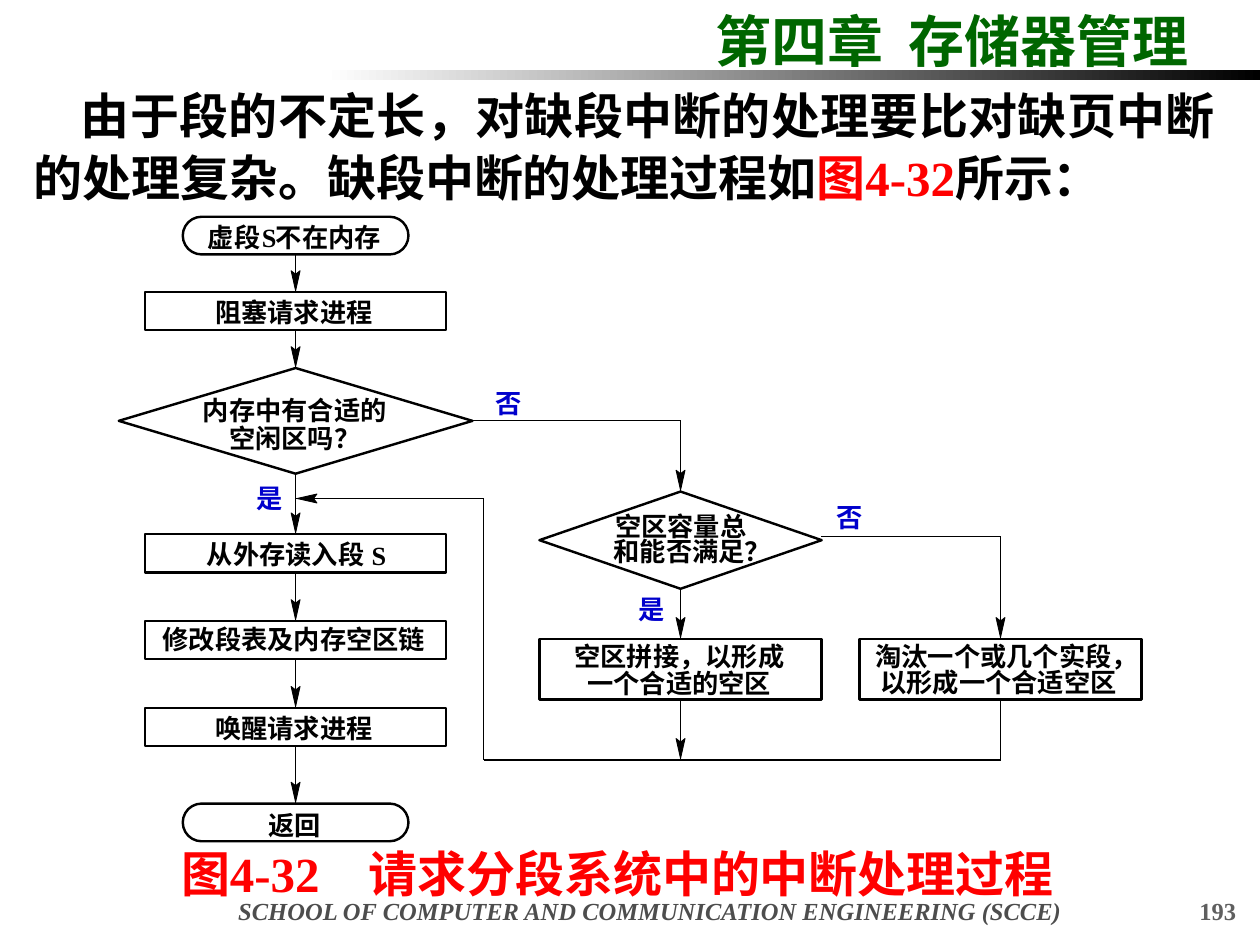
from math import hypot

from lxml import etree
from pptx import Presentation
from pptx.dml import color
from pptx.enum import shapes, text
from pptx.oxml import ns
from pptx.util import Cm, Pt

HAN, ROMAN = "Noto Sans CJK SC", "Times New Roman"
BLACK, WHITE, RED, BLUE = "000000", "FFFFFF", "FF0000", "0000CC"
KIND = shapes.MSO_SHAPE
ALIGN = text.PP_ALIGN


def paint(target, code):
    target.rgb = color.RGBColor.from_string(code)


class Board:
    """Style of the flow chart and the slide it is drawn on."""
    size, edge, thin, tip = 15, 1.39, 0.75, 0.5

    def __init__(self, slide):
        self.slide = slide
        self.items = slide.shapes

    def font(self, font, size, code, face=ROMAN, slant=False):
        font.size, font.bold, font.name = Pt(size), True, face
        if slant:
            font.italic = True
        paint(font.color, code)
        east = etree.SubElement(font._element, ns.qn("a:ea"))
        east.set("typeface", HAN)

    def box(self, x, y, w, h, pad=True, wrap=True):
        frame = self.items.add_textbox(Cm(x), Cm(y), Cm(w), Cm(h)).text_frame
        frame.word_wrap = wrap
        if not pad:
            frame.margin_left = frame.margin_right = 0
            frame.margin_top = frame.margin_bottom = 0
        return frame.paragraphs[0]

    def text(self, x, y, w, h, words, size, code, align=ALIGN.LEFT,
             slant=False, wrap=True, tab=None):
        para = self.box(x, y, w, h, wrap=wrap)
        para.add_run().text = words
        para.alignment = align
        if tab:
            tabs = etree.SubElement(para._p.get_or_add_pPr(), ns.qn("a:tabLst"))
            etree.SubElement(tabs, ns.qn("a:tab"), pos=str(Cm(tab)), algn="l")
        self.font(para.font, size, code, slant=slant)

    def label(self, x, y, words, code=BLACK):
        latin = words.isascii()
        wide = 0.3 if latin else 0.53 * len(words)
        para = self.box(x, y, wide, 0.64, pad=False, wrap=False)
        para.add_run().text = words
        self.font(para.font, self.size, code, ROMAN if latin else HAN)

    def node(self, kind, mid, y, w, h):
        node = self.items.add_shape(kind, Cm(mid - w / 2), Cm(y), Cm(w), Cm(h))
        node.shadow.inherit = False
        node.fill.solid()
        paint(node.fill.fore_color, WHITE)
        node.line.width = Pt(self.edge)
        paint(node.line.color, BLACK)
        if kind == KIND.ROUNDED_RECTANGLE:
            node.adjustments[0] = 0.5

    def fade(self, x, y, w, h):
        bar = self.items.add_shape(KIND.RECTANGLE, Cm(x), Cm(y), Cm(w), Cm(h))
        bar.shadow.inherit = False
        bar.line.fill.background()
        bar.fill.gradient()
        bar.fill.gradient_angle = 0
        for stop, place, code in zip(bar.fill.gradient_stops, (0, 1), (WHITE, BLACK)):
            stop.position = place
            paint(stop.color, code)

    def line(self, *ends):
        link = self.items.add_connector(shapes.MSO_CONNECTOR.STRAIGHT, *map(Cm, ends))
        link.line.width = Pt(self.thin)
        paint(link.line.color, BLACK)
        etree.SubElement(link._element.spPr, ns.qn("a:effectLst"))

    def arrow(self, x1, y1, x2, y2):
        self.line(x1, y1, x2, y2)
        span = hypot(x2 - x1, y2 - y1)
        dx, dy = (x2 - x1) / span, (y2 - y1) / span

        def spot(back, side):
            return (Cm(x2 - back * dx - side * dy), Cm(y2 - back * dy + side * dx))

        build = self.items.build_freeform(*spot(0.43, 0.09))
        build.add_line_segments([spot(0.36, 0), spot(0.43, -0.09), spot(0.03, 0)])
        dart = build.convert_to_shape()
        dart.shadow.inherit = False
        dart.fill.solid()
        paint(dart.fill.fore_color, BLACK)
        dart.line.width = Pt(self.tip)
        paint(dart.line.color, BLACK)

    def body(self, x, y, w, h, parts, size, indent):
        para = self.box(x, y, w, h)
        para.alignment = ALIGN.JUSTIFY
        para.line_spacing = 1.05
        para._p.get_or_add_pPr().set("indent", str(Cm(indent)))
        for words, face, code in parts:
            run = para.add_run()
            run.text = words
            self.font(run.font, size, code, face)


def main():
    deck = Presentation()
    deck.slide_width, deck.slide_height = Cm(25.4), Cm(19.05)
    board = Board(deck.slides.add_slide(deck.slide_layouts[6]))

    # Header, footer and caption
    board.text(14.17, 0, 11.23, 1.63, "第四章\t存储器管理", 32, "006600", tab=3.9)
    board.fade(6.55, 1.42, 18.85, 0.2)
    board.text(3.91, 17.93, 18.39, 0.71,
               "SCHOOL OF COMPUTER AND COMMUNICATION ENGINEERING (SCCE)",
               14, "4D4D4D", ALIGN.CENTER, slant=True)
    board.text(19.89, 17.93, 5.28, 0.71, "193", 14, "5F5F5F", ALIGN.RIGHT)
    board.text(3.4, 16.87, 19.05, 1.45, "图4-32　请求分段系统中的中断处理过程",
               28, RED, wrap=False)

    # Nodes, by column centre
    left, mid, right, back = 5.96, 13.72, 20.17, 9.75
    for y in (4.37, 16.2):
        board.node(KIND.ROUNDED_RECTANGLE, left, y, 4.55, 0.76)
    for y in (5.89, 10.77, 12.52, 14.27):
        board.node(KIND.RECTANGLE, left, y, 6.07, 0.77)
    for x in (mid, right):
        board.node(KIND.RECTANGLE, x, 12.88, 5.69, 1.22)
    board.node(KIND.DIAMOND, left, 7.42, 7.13, 2.13)
    board.node(KIND.DIAMOND, mid, 9.91, 5.69, 1.96)

    # Downward arrows
    drops = {
        left: [(5.13, 5.89), (6.65, 7.42), (9.55, 10.77),
               (11.56, 12.52), (13.28, 14.27), (15.04, 16.2)],
        mid: [(8.48, 9.91), (11.89, 12.88), (14.1, 15.32)],
        right: [(10.82, 12.88)],
    }
    for x, spans in drops.items():
        for top, end in spans:
            board.arrow(x, top, x, end)

    # Branches and the way back
    board.line(9.53, 8.48, mid, 8.48)
    board.line(16.56, 10.82, right, 10.82)
    board.line(right, 14.1, right, 15.32)
    board.line(back, 15.32, right, 15.32)
    board.line(back, 10.05, back, 15.32)
    board.arrow(back, 10.05, left, 10.05)

    # Node wording
    for x, y, words in (
        (4.19, 4.47, "虚段"), (5.28, 4.47, "S"), (5.56, 4.47, "不在内存"),
        (4.34, 5.97, "阻塞请求进程"),
        (4.09, 7.95, "内存中有合适的"), (4.62, 8.51, "空闲区吗？"),
        (4.17, 10.85, "从外存读入段"), (7.49, 10.87, "S"),
        (3.28, 12.57, "修改段表及内存空区链"),
        (4.34, 14.35, "唤醒请求进程"),
        (5.41, 16.31, "返回"),
        (12.4, 10.29, "空区容量总"), (12.37, 10.8, "和能否满足？"),
        (11.58, 12.9, "空区拼接，以形成"), (11.84, 13.46, "一个合适的空区"),
        (17.65, 12.9, "淘汰一个或几个实段，"), (17.75, 13.44, "以形成一个合适空区"),
    ):
        board.label(x, y, words)

    # Yes and no marks
    for x, y, words in ((9.98, 7.8, "否"), (16.87, 10.11, "否"),
                        (12.88, 11.96, "是"), (5.18, 9.73, "是")):
        board.label(x, y, words, BLUE)

    # Opening paragraph
    board.body(0.43, 1.55, 24.33, 2.74, [
        ("由于段的不定长，对缺段中断的处理要比对缺页中断的处理复杂。"
         "缺段中断的处理过程如", HAN, BLACK),
        ("图4-32", ROMAN, RED),
        ("所示：", HAN, BLACK),
    ], 28, 0.95)

    deck.save("out.pptx")


if __name__ == "__main__":
    main()
